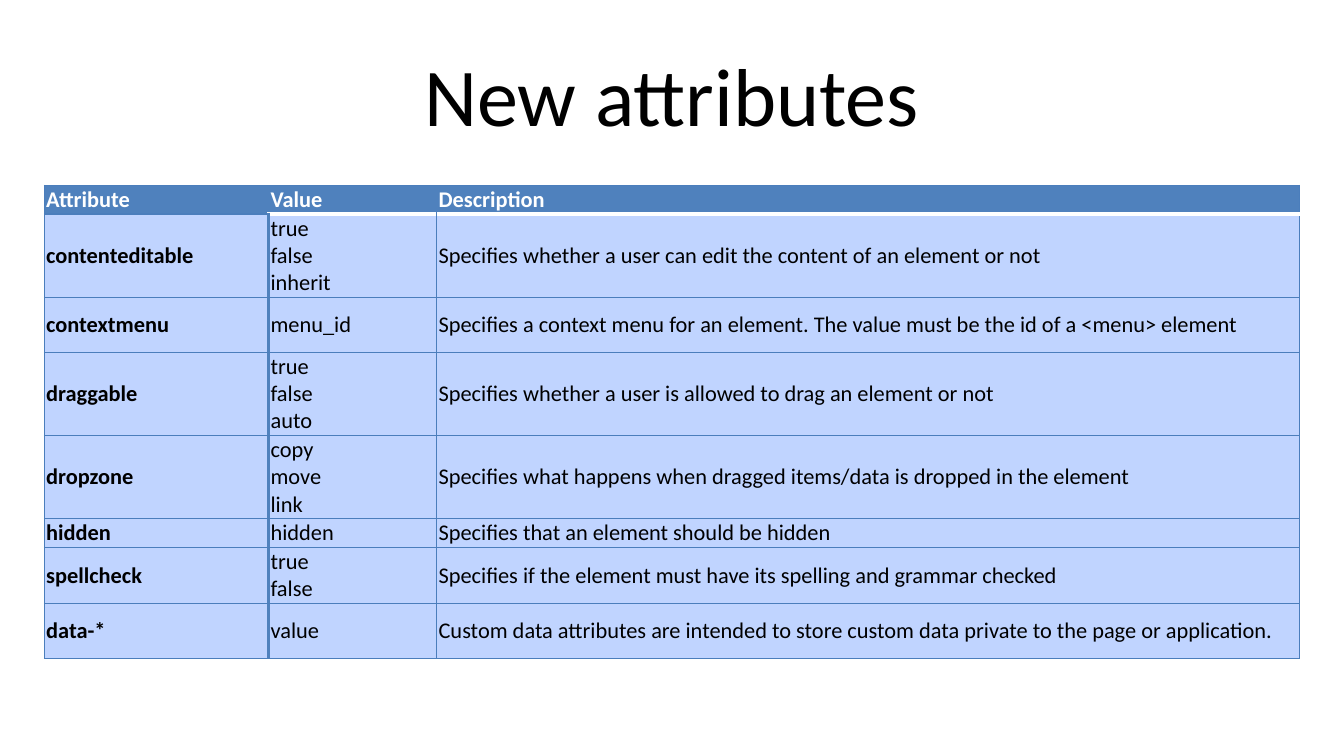
from copy import deepcopy
from dataclasses import dataclass

from lxml.etree import SubElement
from pptx import Presentation
from pptx.dml.color import RGBColor
from pptx.enum.text import MSO_ANCHOR, PP_ALIGN
from pptx.oxml.ns import qn
from pptx.util import Inches, Pt


@dataclass(frozen=True)
class Theme:
    font: str = "Calibri"
    title_size: int = 44
    table_size: int = 12
    text: str = "000000"
    header_text: str = "FFFFFF"
    header_fill: str = "4F81BD"
    body_fill: str = "C0D4FF"
    # Rules are (colour, points)
    grid: tuple = ("4B7EBC", 0.75)
    header_rule: tuple = ("FFFFFF", 2)
    name_rule: tuple = ("4F81BD", 2)


THEME = Theme()

COLUMN_WIDTHS = (1.67, 1.25, 6.42)
ROW_HEIGHTS = (0.21, 0.61, 0.41, 0.61, 0.61, 0.21, 0.41, 0.41)
ROWS = (
    ("Attribute", "Value", "Description"),
    ("contenteditable", "true\nfalse\ninherit",
     "Specifies whether a user can edit the content of an element or not"),
    ("contextmenu", "menu_id",
     "Specifies a context menu for an element. The value must be the id of a <menu> element"),
    ("draggable", "true\nfalse\nauto",
     "Specifies whether a user is allowed to drag an element or not"),
    ("dropzone", "copy\nmove\nlink",
     "Specifies what happens when dragged items/data is dropped in the element"),
    ("hidden", "hidden", "Specifies that an element should be hidden"),
    ("spellcheck", "true\nfalse",
     "Specifies if the element must have its spelling and grammar checked"),
    ("data-*", "value",
     "Custom data attributes are intended to store custom data private to the page or application."),
)


def apply_format(target, values):
    for name, value in values.items():
        setattr(target, name, value)


def write_text(paragraph, text, size, color, bold=False):
    paragraph.text = text
    for run in paragraph.runs:
        apply_format(run.font, {"name": THEME.font, "size": Pt(size), "bold": bold})
        run.font.color.rgb = RGBColor.from_string(color)
    # Line breaks take the size of the text around them
    properties = paragraph.runs[0].font._element
    for line_break in paragraph._p.findall(qn("a:br")):
        line_break.append(deepcopy(properties))


def set_borders(cell, borders):
    """Draw each side from its rule; None leaves the side open."""
    properties = cell._tc.get_or_add_tcPr()
    for side in "LRTB":
        rule = borders[side]
        line = SubElement(properties, qn(f"a:ln{side}"))
        if rule is None:
            SubElement(line, qn("a:noFill"))
            continue
        color, width = rule
        line.set("w", str(Pt(width)))
        fill = SubElement(line, qn("a:solidFill"))
        SubElement(fill, qn("a:srgbClr")).set("val", color)


def cell_borders(row, column):
    borders = dict.fromkeys("LRTB", THEME.grid)
    if row == 0:
        if column > 0:
            borders["L"] = None
            borders["B"] = THEME.header_rule
        if column < len(COLUMN_WIDTHS) - 1:
            borders["R"] = None
    elif column == 0:
        borders["R"] = THEME.name_rule
    else:
        if row == 1:
            borders["T"] = THEME.header_rule
        if column == 1:
            borders["L"] = THEME.name_rule
    return borders


def add_title(slide, text, left, top, width, height):
    title = slide.shapes.title
    apply_format(title, {"left": Inches(left), "top": Inches(top),
                         "width": Inches(width), "height": Inches(height)})
    title.text_frame.vertical_anchor = MSO_ANCHOR.MIDDLE
    paragraph = title.text_frame.paragraphs[0]
    write_text(paragraph, text, THEME.title_size, THEME.text)
    paragraph.alignment = PP_ALIGN.CENTER


def add_attribute_table(slide, left, top, width, height):
    table = slide.shapes.add_table(
        len(ROWS), len(COLUMN_WIDTHS),
        Inches(left), Inches(top), Inches(width), Inches(height)).table
    for column, column_width in zip(table.columns, COLUMN_WIDTHS):
        column.width = Inches(column_width)
    for row, row_height in zip(table.rows, ROW_HEIGHTS):
        row.height = Inches(row_height)

    for row, texts in enumerate(ROWS):
        is_header = row == 0
        for column, text in enumerate(texts):
            cell = table.cell(row, column)
            apply_format(cell, {
                "margin_left": Pt(1), "margin_right": Pt(1),
                "margin_top": Pt(0.35), "margin_bottom": Pt(0.35),
                "vertical_anchor": MSO_ANCHOR.MIDDLE,
            })
            write_text(cell.text_frame.paragraphs[0], text, THEME.table_size,
                       THEME.header_text if is_header else THEME.text,
                       bold=is_header or column == 0)
            set_borders(cell, cell_borders(row, column))
            cell.fill.solid()
            cell.fill.fore_color.rgb = RGBColor.from_string(
                THEME.header_fill if is_header else THEME.body_fill)


def main():
    presentation = Presentation()
    # Widescreen, 16 to 9
    presentation.slide_width = Inches(10)
    presentation.slide_height = presentation.slide_width * 9 // 16
    slide = presentation.slides.add_slide(presentation.slide_layouts[5])

    add_title(slide, "New attributes", 0.5, 0.23, 9, 0.94)
    add_attribute_table(slide, 0.33, 1.38, sum(COLUMN_WIDTHS), sum(ROW_HEIGHTS))

    presentation.save("out.pptx")


if __name__ == "__main__":
    main()
